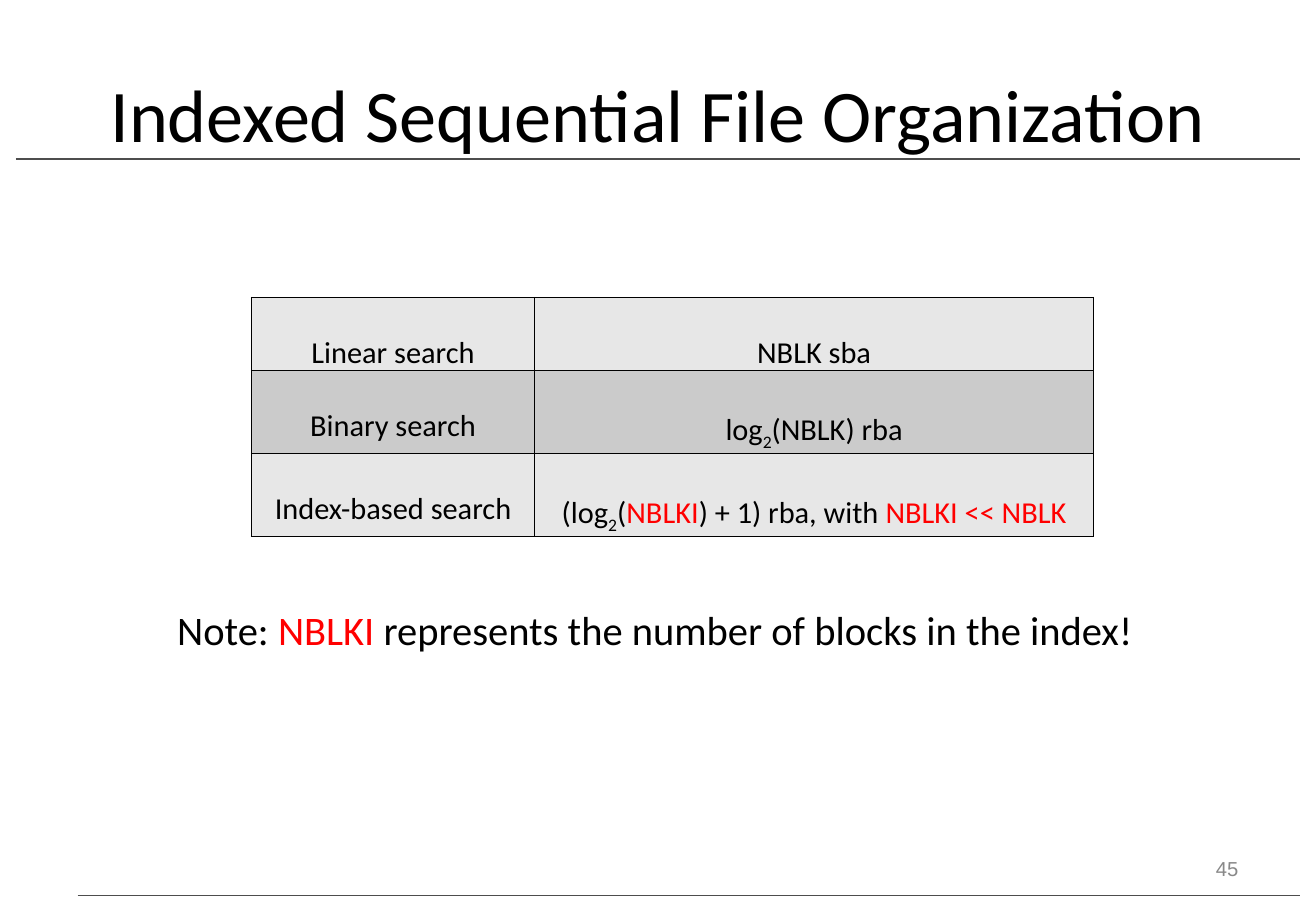
"""Build the slide on search costs in indexed sequential files."""
from lxml.etree import SubElement
from pptx import Presentation
from pptx.dml.color import RGBColor
from pptx.enum.shapes import MSO_CONNECTOR
from pptx.enum.text import MSO_ANCHOR, PP_ALIGN
from pptx.oxml import parse_xml
from pptx.oxml.ns import nsdecls, qn
from pptx.util import Inches, Pt


def paint(hue):
    return RGBColor.from_string(hue)


def write(para, parts, size, align, face="Calibri", hue="000000"):
    para.alignment = align
    para.font.size, para.font.name = Pt(size), face
    para.font.color.rgb = paint(hue)
    for text, style in parts:
        run = para.add_run()
        run.text = text
        if style == "red":
            run.font.color.rgb = paint("FF0000")
        if style == "sub":
            run.font._element.set("baseline", "-25000")


deck = Presentation()
deck.slide_width, deck.slide_height = Inches(10.83), Inches(7.5)
slide = deck.slides.add_slide(deck.slide_layouts[6])
shapes = slide.shapes

for left, top, width in [(0.13, 1.31, 1), (0.64, 7.37, 0.75)]:
    rule = shapes.add_connector(MSO_CONNECTOR.STRAIGHT, Inches(left),
                                Inches(top), Inches(10.7), Inches(top))
    rule.line.color.rgb = paint("4D4D4D")
    rule.line.width = Pt(width)
    SubElement(rule._element.spPr, qn("a:effectLst"))

note = [("Note: ", ""), ("NBLKI", "red"),
        (" represents the number of blocks in the index!", "")]
labels = [
    ((0.54, 0.3, 9.75, 1.25), MSO_ANCHOR.MIDDLE,
     [("Indexed Sequential File Organization", "")],
     44, PP_ALIGN.CENTER, "Calibri", "000000"),
    ((1.36, 4.93, 8.45, 0.46), MSO_ANCHOR.TOP,
     note, 24, PP_ALIGN.LEFT, "Calibri", "000000"),
    ((7.76, 6.95, 2.53, 0.4), MSO_ANCHOR.MIDDLE,
     [("45", "")], 12, PP_ALIGN.RIGHT, "Arial", "898989"),
]
for spot, anchor, parts, size, align, face, hue in labels:
    frame = shapes.add_textbox(*map(Inches, spot)).text_frame
    frame.word_wrap = True
    frame.vertical_anchor = anchor
    write(frame.paragraphs[0], parts, size, align, face, hue)

costs = [
    ("Linear search", [("NBLK sba", "")]),
    ("Binary search", [("log", ""), ("2", "sub"), ("(NBLK) rba", "")]),
    ("Index-based search",
     [("(log", ""), ("2", "sub"), ("(", ""), ("NBLKI", "red"),
      (") + 1) rba, with ", ""), ("NBLKI << NBLK", "red")]),
]
table = shapes.add_table(len(costs), 2, Inches(2.07), Inches(2.45),
                         Inches(6.93), Inches(1.8)).table
for col, width in zip(table.columns, (2.33, 4.6)):
    col.width = Inches(width)
for row, (name, cost) in enumerate(costs):
    for col, parts in enumerate([[(name, "")], cost]):
        cell = table.cell(row, col)
        cell.margin_left = cell.margin_right = Inches(0.07)
        cell.margin_top = cell.margin_bottom = 0
        para = cell.text_frame.paragraphs[0]
        para.line_spacing = 2.0
        write(para, parts, 18, PP_ALIGN.CENTER)
        props = cell._tc.get_or_add_tcPr()
        for side in ("lnL", "lnR", "lnT", "lnB"):
            props.append(parse_xml(
                f'<a:{side} {nsdecls("a")} w="12700"><a:solidFill>'
                f'<a:srgbClr val="000000"/></a:solidFill></a:{side}>'))
        cell.fill.solid()
        cell.fill.fore_color.rgb = paint("CBCBCB" if row % 2 else "E7E7E7")

deck.save("out.pptx")
